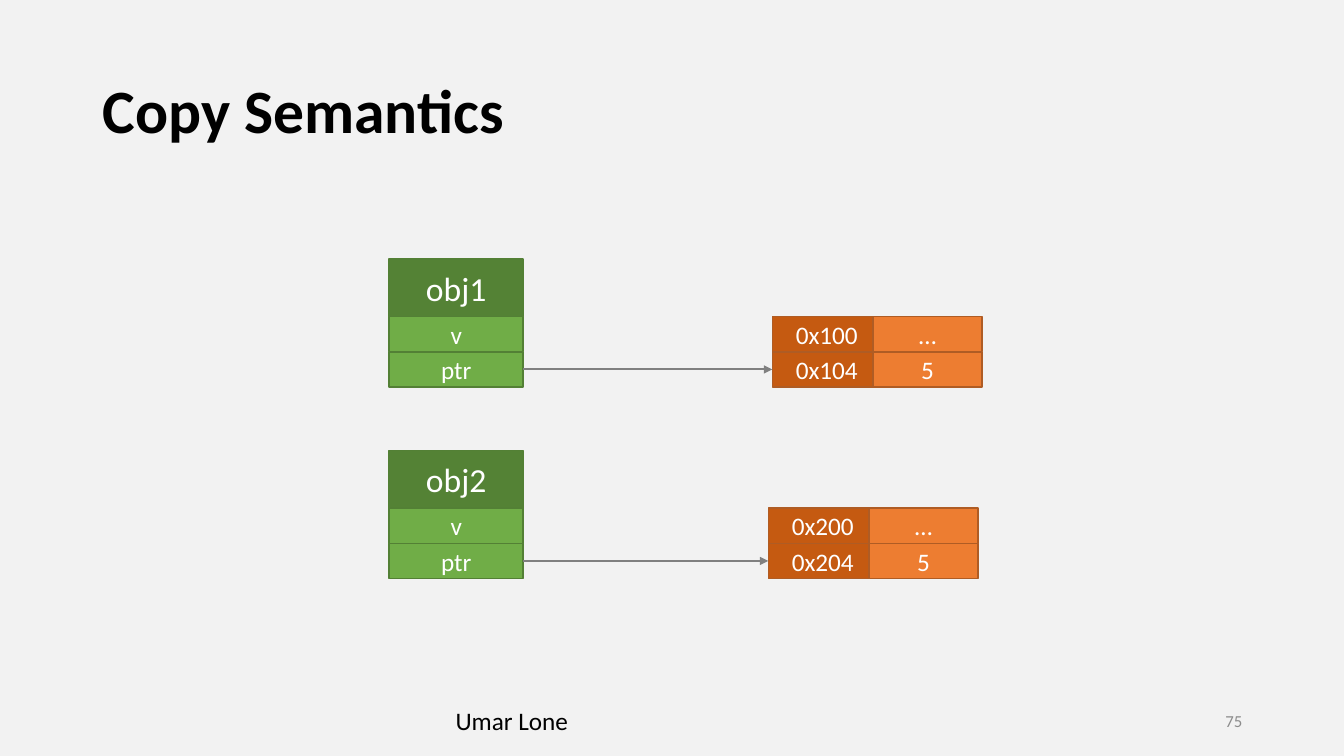
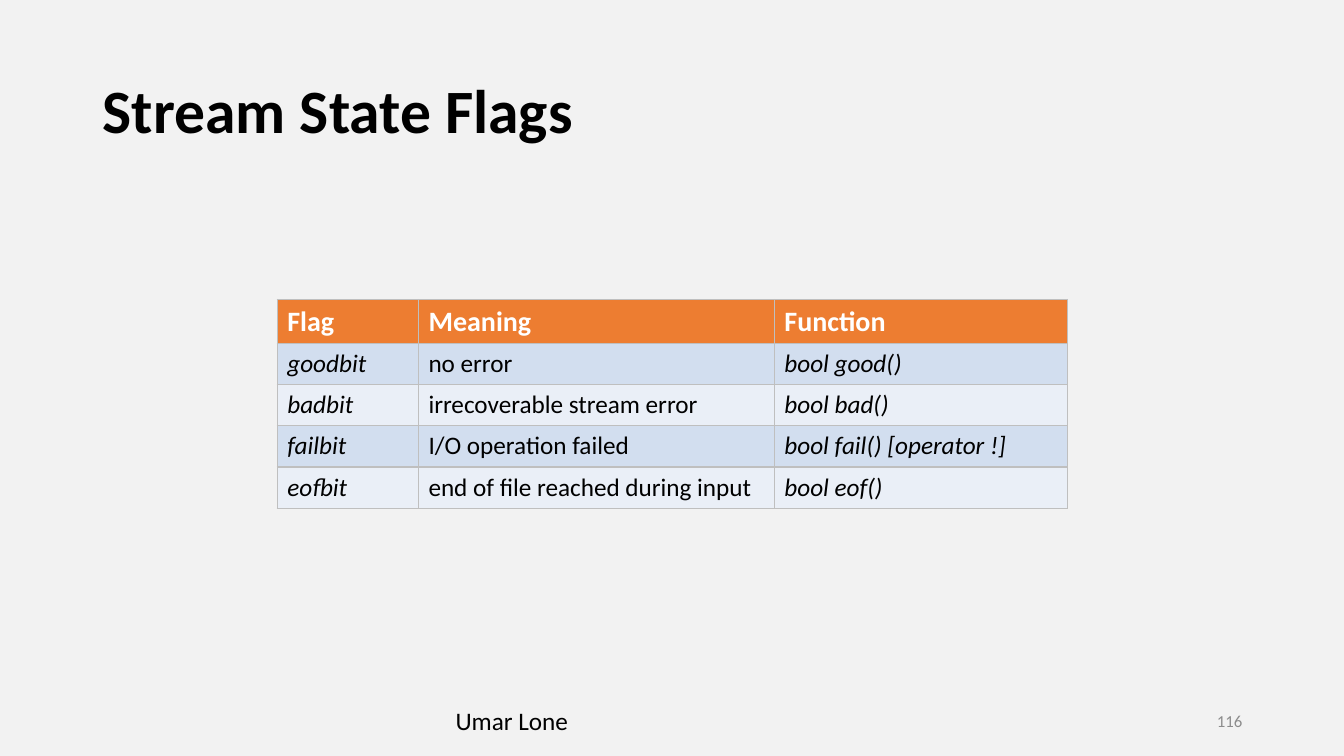
from lxml import etree
from pptx import Presentation
from pptx import util as u
from pptx.dml import color
from pptx.enum import shapes, text
from pptx.oxml import ns

FONT = "Calibri"
COLORS = {
    "background": "F2F2F2", "black": "000000", "white": "FFFFFF", "number": "8C8C8C",
    "object_header": "548235", "object_field": "70AD47", "object_line": "538035",
    "address": "C55A11", "value": "ED7D31", "memory_line": "AF5C24", "arrow": "808080",
    "table_header": "ED7D31", "odd_row": "D2DEEF", "even_row": "EAEFF7", "border": "BFBFBF",
}
FLAGS = [
    ("Flag", "Meaning", "Function"),
    ("goodbit", "no error", "bool good()"),
    ("badbit", "irrecoverable stream error", "bool bad()"),
    ("failbit", "I/O operation failed", "bool fail() [operator !]"),
    ("eofbit", "end of file reached during input", "bool eof()"),
]
HEADER_HEIGHT, FIELD_HEIGHT = 0.57, 0.35


def rgb(name):
    """Return the named colour."""
    return color.RGBColor.from_string(COLORS[name])


def box_of(left, top, width, height):
    """Turn a box given in inches into lengths."""
    return [u.Inches(length) for length in (left, top, width, height)]


def set_text(frame, words, size, tint, align=None, bold=False, italic=False):
    """Write one formatted paragraph."""
    frame.text = words
    para = frame.paragraphs[0]
    para.alignment = align
    for span in para.runs:
        span.font.name = FONT
        span.font.size = u.Pt(size)
        span.font.bold = bold
        span.font.italic = italic
        span.font.color.rgb = rgb(tint)


def add_label(page, box, words, size, tint, anchor, align=None):
    """Add a wrapping text box."""
    frame = page.shapes.add_textbox(*box_of(*box)).text_frame
    frame.word_wrap = True
    frame.vertical_anchor = anchor
    set_text(frame, words, size, tint, align)


def add_page(deck, heading, number):
    """Add a slide with its title, footer and number."""
    page = deck.slides.add_slide(deck.slide_layouts[5])
    title = page.shapes.title
    title.left, title.top, title.width, title.height = box_of(0.92, 0.4, 11.5, 1.45)
    frame = title.text_frame
    frame.vertical_anchor = text.MSO_ANCHOR.MIDDLE
    set_text(frame, heading, 44, "black", text.PP_ALIGN.LEFT, bold=True)
    frame.paragraphs[0].line_spacing = 0.9
    add_label(page, (4.42, 6.95, 4.5, 0.4), "Umar Lone", 18, "black", text.MSO_ANCHOR.TOP)
    add_label(page, (9.42, 6.95, 3, 0.4), str(number), 12, "number",
              text.MSO_ANCHOR.MIDDLE, text.PP_ALIGN.RIGHT)
    return page


def add_block(parent, box, words, fill, line, size=18):
    """Add a filled rectangle with centred text."""
    block = parent.shapes.add_shape(shapes.MSO_SHAPE.RECTANGLE, *box_of(*box))
    block.shadow.inherit = False
    block.fill.solid()
    block.fill.fore_color.rgb = rgb(fill)
    block.line.color.rgb = rgb(line)
    block.line.width = u.Pt(1)
    block.text_frame.vertical_anchor = text.MSO_ANCHOR.MIDDLE
    set_text(block.text_frame, words, size, "white", text.PP_ALIGN.CENTER)
    return block


def add_object(page, left, top, name):
    """Draw an object with its two fields and return the pointer field."""
    width = 1.33
    add_block(page, (left, top, width, HEADER_HEIGHT), name, "object_header", "object_line", 24)
    for row, field in enumerate(("v", "ptr")):
        field_top = top + HEADER_HEIGHT + row * FIELD_HEIGHT
        pointer = add_block(page, (left, field_top, width, FIELD_HEIGHT), field,
                            "object_field", "object_line")
    return pointer


def add_memory(page, left, top, addresses):
    """Draw a group of memory cells and return the last address."""
    width, step = 1.08, 1
    group = page.shapes.add_group_shape()
    columns = (("address", addresses), ("value", ("…", "5")))
    last_cells = []
    for column, (fill, entries) in enumerate(columns):
        for row, entry in enumerate(entries):
            box = (left + column * step, top + row * FIELD_HEIGHT, width, FIELD_HEIGHT)
            cell = add_block(group, box, entry, fill, "memory_line")
        last_cells.append(cell)
    return last_cells[0]


def add_arrow(page, source, target):
    """Join the right side of one block to the left side of another."""
    arrow = page.shapes.add_connector(shapes.MSO_CONNECTOR.STRAIGHT, 0, 0, 0, 0)
    arrow.begin_connect(source, 3)
    arrow.end_connect(target, 1)
    arrow.line.color.rgb = rgb("arrow")
    arrow.line.width = u.Pt(1.5)
    etree.SubElement(arrow.line._get_or_add_ln(), ns.qn("a:tailEnd"), type="triangle")
    etree.SubElement(arrow._element.spPr, ns.qn("a:effectLst"))


def add_pointer_row(page, top, name, memory_left, addresses):
    """Draw an object that points to its own memory."""
    pointer = add_object(page, 3.86, top, name)
    address = add_memory(page, memory_left, top + HEADER_HEIGHT, addresses)
    add_arrow(page, pointer, address)


def set_borders(cell):
    """Draw a thin line on each side of a cell."""
    properties = cell._tc.get_or_add_tcPr()
    for position, side in enumerate(("lnL", "lnR", "lnT", "lnB")):
        line = etree.Element(ns.qn("a:" + side), w=str(u.Pt(1)))
        fill = etree.SubElement(line, ns.qn("a:solidFill"))
        etree.SubElement(fill, ns.qn("a:srgbClr"), val=COLORS["border"])
        properties.insert(position, line)


def add_flag_table(page, left, top):
    """Draw the table of stream flags."""
    widths, heights = (1.4, 3.53, 2.91), (0.43, 0.41, 0.41, 0.41, 0.41)
    box = box_of(left, top, sum(widths), sum(heights))
    table = page.shapes.add_table(len(heights), len(widths), *box).table
    for column, width in zip(table.columns, widths):
        column.width = u.Inches(width)
    for row, (height, entries) in enumerate(zip(heights, FLAGS)):
        table.rows[row].height = u.Inches(height)
        header = row == 0
        fill = "table_header" if header else ("even_row", "odd_row")[row % 2]
        for column, entry in enumerate(entries):
            cell = table.cell(row, column)
            cell.fill.solid()
            cell.fill.fore_color.rgb = rgb(fill)
            set_text(cell.text_frame, entry, 20 if header else 18,
                     "white" if header else "black", bold=header,
                     italic=not header and column != 1)
            set_borders(cell)


def main():
    """Build and save the deck."""
    deck = Presentation()
    deck.slide_width, deck.slide_height = u.Inches(13.33), u.Inches(7.5)
    backdrop = deck.slide_master.background.fill
    backdrop.solid()
    backdrop.fore_color.rgb = rgb("background")

    copy_page = add_page(deck, "Copy Semantics", 75)
    add_pointer_row(copy_page, 2.57, "obj1", 7.66, ("0x100", "0x104"))
    add_pointer_row(copy_page, 4.47, "obj2", 7.62, ("0x200", "0x204"))

    flags_page = add_page(deck, "Stream State Flags", 116)
    add_flag_table(flags_page, 2.75, 2.97)

    deck.save("out.pptx")


if __name__ == "__main__":
    main()
